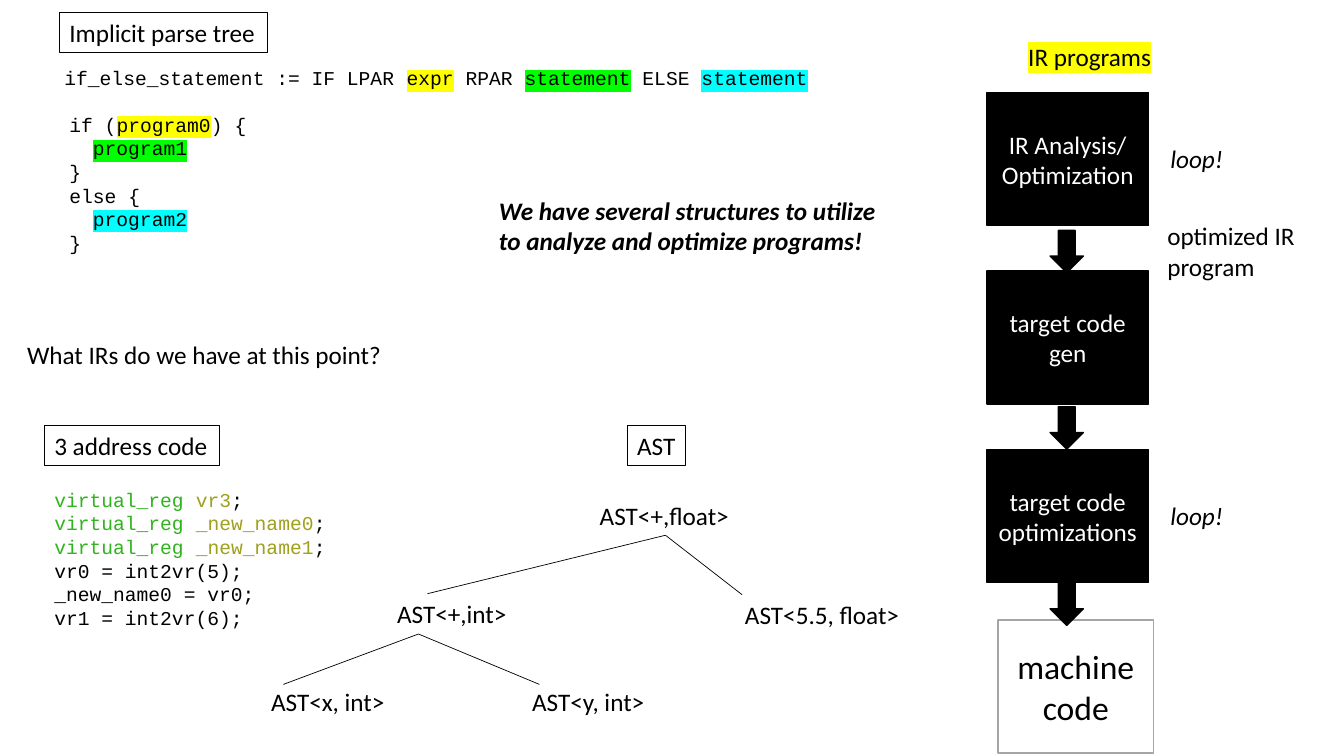
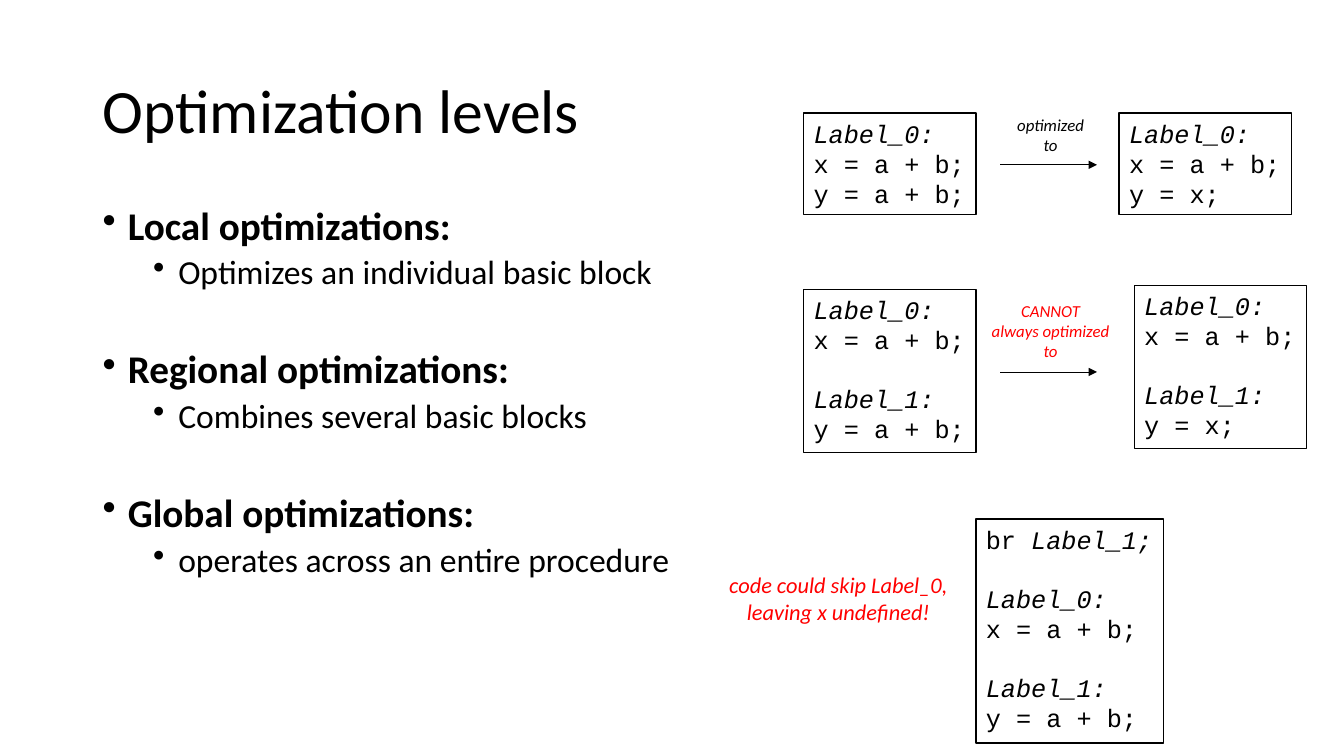
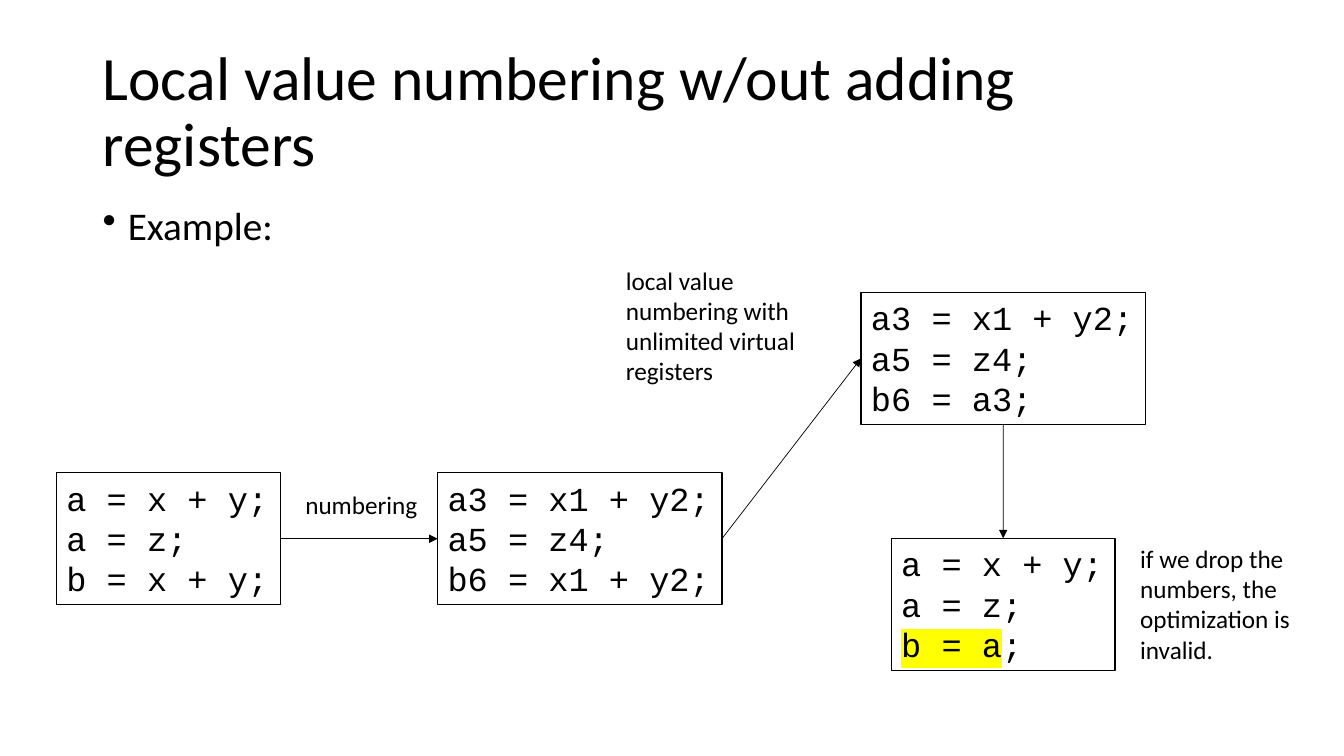
from dataclasses import dataclass

from lxml import etree
from pptx import Presentation
from pptx.dml.color import RGBColor
from pptx.enum.shapes import MSO_CONNECTOR, MSO_SHAPE
from pptx.enum.text import MSO_ANCHOR, MSO_AUTO_SIZE, PP_ALIGN
from pptx.oxml.ns import qn
from pptx.util import Inches, Pt

STRAIGHT = MSO_CONNECTOR.STRAIGHT
RECTANGLE, ARROW = MSO_SHAPE.RECTANGLE, MSO_SHAPE.RIGHT_ARROW
TOP, MIDDLE = MSO_ANCHOR.TOP, MSO_ANCHOR.MIDDLE
GROW = MSO_AUTO_SIZE.SHAPE_TO_FIT_TEXT
LEFT, CENTER = PP_ALIGN.LEFT, PP_ALIGN.CENTER
LEFT_SITE, TOP_SITE, BOTTOM_SITE, RIGHT_SITE = 1, 0, 2, 3

COLORS = {
    "black": "000000", "white": "FFFFFF", "gray": "A5A5A5", "red": "FF0000",
    "keyword": "2FB41D", "name": "9FA01C",
    "yellow": "FFFF00", "green": "00FF00", "cyan": "00FFFF",
}
SANS, MONO = "Calibri", "Courier New"
WIDTH, HEIGHT = 13.33, 7.5
LABEL_HEIGHT = 0.4
CODE_LINE = 20.4


@dataclass
class Box:
    """A rectangle on a grid of one-inch cells."""
    left: float
    top: float
    width: float
    height: float

    def inside(self, left, top, width, height=LABEL_HEIGHT):
        """Return a box offset from this one's corner."""
        return Box(self.left + left, self.top + top, width, height)

    def lengths(self):
        """Return the four lengths for python-pptx."""
        return [Inches(v) for v in (self.left, self.top, self.width, self.height)]


@dataclass
class Run:
    """A piece of text that differs from its paragraph."""
    text: str
    color: str = ""
    highlight: str = ""
    italic: bool = False


@dataclass
class Line:
    """A paragraph made of strings and runs."""
    pieces: list
    before: float = 0
    indent: float = 0


def rgb(name):
    """Return a named colour."""
    return RGBColor.from_string(COLORS[name])


def add_run(paragraph, piece):
    """Add a string or a Run to a paragraph."""
    piece = piece if isinstance(piece, Run) else Run(piece)
    run = paragraph.add_run()
    run.text = piece.text
    if piece.italic:
        run.font.italic = True
    if piece.color:
        run.font.color.rgb = rgb(piece.color)
    if piece.highlight:
        properties = run._r.get_or_add_rPr()
        highlight = etree.SubElement(properties, qn("a:highlight"))
        etree.SubElement(highlight, qn("a:srgbClr"), val=COLORS[piece.highlight])


def set_font(paragraph, size, name=SANS, color="black", bold=None, italic=None):
    """Set the font that all runs of a paragraph share."""
    font = paragraph.font
    font.size, font.name, font.bold, font.italic = Pt(size), name, bold, italic
    font.color.rgb = rgb(color)


def write(shape, lines, size=18, align=LEFT, anchor=TOP, wrap=False, grow=True, **font):
    """Fill a shape with paragraphs."""
    frame = shape.text_frame
    frame.word_wrap = wrap
    frame.vertical_anchor = anchor
    if grow:
        frame.auto_size = GROW
    for index, line in enumerate(lines):
        line = line if isinstance(line, Line) else Line([line])
        paragraph = frame.paragraphs[0] if index == 0 else frame.add_paragraph()
        paragraph.alignment = align
        if line.before:
            paragraph.space_before = Pt(line.before)
        if line.indent:
            paragraph._p.get_or_add_pPr().set("marL", str(Pt(line.indent)))
        set_font(paragraph, size, **font)
        for piece in line.pieces:
            add_run(paragraph, piece)
    return shape


def add_text(slide, box, *lines, **style):
    """Add a text box."""
    return write(slide.shapes.add_textbox(*box.lengths()), lines, **style)


def add_block(slide, box, fill, line="black", weight=1, kind=RECTANGLE):
    """Add an outlined shape; an empty fill name leaves it hollow."""
    shape = slide.shapes.add_shape(kind, *box.lengths())
    shape.shadow.inherit = False
    if fill:
        shape.fill.solid()
        shape.fill.fore_color.rgb = rgb(fill)
    else:
        shape.fill.background()
    shape.line.color.rgb = rgb(line)
    shape.line.width = Pt(weight)
    return shape


def add_heading(slide, box, text):
    """Add a hollow framed heading."""
    write(add_block(slide, box, "", weight=0.75), [text])


def add_code(slide, box, *lines, size=18):
    """Add a framed block of code."""
    return write(add_block(slide, box, "white"), lines, size=size, name=MONO)


def add_line(slide, start, end, arrow=False):
    """Add a thin line, with an arrowhead at its end if asked."""
    connector = slide.shapes.add_connector(STRAIGHT, *map(Inches, (*start, *end)))
    connector.line.color.rgb = rgb("black")
    connector.line.width = Pt(0.5)
    properties = connector.element.spPr
    if arrow:
        etree.SubElement(properties.find(qn("a:ln")), qn("a:tailEnd"), type="triangle")
    etree.SubElement(properties, qn("a:effectLst"))
    return connector


def join(slide, source, source_site, target, target_site):
    """Draw an arrow between two shapes."""
    connector = add_line(slide, (0, 0), (1, 1), arrow=True)
    connector.begin_connect(source, source_site)
    connector.end_connect(target, target_site)


def add_title(slide, text):
    """Add the slide title."""
    box = Box(0.92, 0.4, 11.5, 1.45)
    title = add_text(slide, box, text, size=44, anchor=MIDDLE, wrap=True, grow=False)
    title.text_frame.paragraphs[0].line_spacing = 0.9


def add_bullets(slide, box, items):
    """Add bullets given as (level, text, bold, space before)."""
    frame = slide.shapes.add_textbox(*box.lengths()).text_frame
    frame.word_wrap = True
    for index, (level, text, bold, before) in enumerate(items):
        paragraph = frame.paragraphs[0] if index == 0 else frame.add_paragraph()
        paragraph.level = level
        properties = paragraph._p.get_or_add_pPr()
        properties.set("marL", str(Inches(0.25 + 0.5 * level)))
        properties.set("indent", str(Inches(-0.25)))
        etree.SubElement(properties, qn("a:buChar"), char="•")
        paragraph.line_spacing = 0.9
        paragraph.space_before = Pt(before)
        set_font(paragraph, 28 - 4 * level, bold=bold)
        add_run(paragraph, text)


def add_pipeline(slide, box):
    """Draw the compiler back end from top to bottom."""
    machine = add_block(slide, box.inside(0.11, 5.79, 1.54, 1.32), "white", "gray")
    write(machine, ["machine code"], 24, CENTER, MIDDLE, wrap=True, grow=False)
    stages = ["IR Analysis/ Optimization", "target code gen", "target code optimizations"]
    for index, stage in enumerate(stages):
        block = add_block(slide, box.inside(0, 0.56 + 1.77 * index, 1.6, 1.32), "black")
        write(block, [stage], 18, CENTER, MIDDLE, True, False, color="white")
    for index in range(len(stages)):
        arrow_box = box.inside(0.58, 1.97 + 1.75 * index, 0.42, 0.33)
        add_block(slide, arrow_box, "black", kind=ARROW).rotation = 90
    for top in (1.01, 4.55):
        add_text(slide, box.inside(1.72, top, 0.74), "loop!", italic=True)
    add_text(slide, box.inside(0.31, 0, 1.43),
             Line([Run("IR programs", highlight="yellow")]))
    add_text(slide, box.inside(1.69, 1.78, 1.54, 0.71), "optimized IR", "program")


def add_parse_tree(slide, box):
    """Show the grammar rule and the program it matches."""
    add_heading(slide, box.inside(0.05, 0, 2.06), "Implicit parse tree")
    rule = Line(["if_else_statement := IF LPAR ", Run("expr", highlight="yellow"),
                 " RPAR ", Run("statement", highlight="green"),
                 " ELSE ", Run("statement", highlight="cyan")])
    add_text(slide, box.inside(0, 0.49, 7.89, 0.34), rule, size=14, name=MONO, wrap=True)
    add_text(slide, box.inside(0.05, 0.95, 1.96, 1.51),
             Line(["if (", Run("program0", highlight="yellow"), ") {"]),
             Line([Run("program1", highlight="green")], indent=16.8),
             "}", "else {",
             Line([Run("program2", highlight="cyan")], indent=16.8),
             "}", size=14, name=MONO)


def add_address_code(slide, box):
    """List the three address code."""
    add_heading(slide, box.inside(0, 0, 1.74), "3 address code")
    registers = [Line([Run("virtual_reg ", "keyword"), Run(name, "name"), ";"])
                 for name in ("vr3", "_new_name0", "_new_name1")]
    add_text(slide, box.inside(0, 0.57, box.width, 1.51), *registers,
             "vr0 = int2vr(5);", "_new_name0 = vr0;", "vr1 = int2vr(6);",
             size=14, name=MONO, wrap=True)


def add_syntax_tree(slide, box):
    """Draw the abstract syntax tree."""
    add_heading(slide, box.inside(3.63, 0, 0.58), "AST")
    nodes = [("AST<+,float>", 3.26, 0.69, 1.5), ("AST<+,int>", 1.25, 1.67, 1.3),
             ("AST<5.5, float>", 4.7, 1.68, 1.75), ("AST<x, int>", 0, 2.54, 1.34),
             ("AST<y, int>", 2.59, 2.54, 1.33)]
    for text, left, top, width in nodes:
        add_text(slide, box.inside(left, top, width), text)
    branches = [((4.01, 1.09), [(1.65, 1.67), (4.77, 1.68)]),
                ((1.56, 2.07), [(0.22, 2.57), (2.76, 2.57)])]
    for (x, y), children in branches:
        for child_x, child_y in children:
            add_line(slide, (box.left + x, box.top + y),
                     (box.left + child_x, box.top + child_y))


def add_rewrite(slide, before_box, after_box, before, after, caption, caption_size, color):
    """Show code, an arrow with its caption, and the resulting code."""
    add_code(slide, before_box, *before)
    add_code(slide, after_box, *after)
    middle = before_box.height / 2 + 0.01
    x, y = before_box.left + 1.95, before_box.top + middle
    add_line(slide, (x, y), (x + 0.96, y), arrow=True)
    width, height = caption_size
    caption_box = before_box.inside(2.45 - width / 2, middle - 0.05 - height, width, height)
    add_text(slide, caption_box, *caption, size=12, align=CENTER, color=color, italic=True)


def label(number, before=0):
    """Return an italic code label."""
    return Line([Run(f"Label_{number}:", italic=True)], before)


def build_structures(slide):
    """Build the slide on program structures."""
    add_pipeline(slide, Box(9.79, 0.36, 3.23, 7.11))
    add_text(slide, Box(0.17, 3.32, 3.76, LABEL_HEIGHT), "What IRs do we have at this point?")
    add_address_code(slide, Box(0.44, 4.22, 3.1, 2.08))
    add_syntax_tree(slide, Box(2.59, 4.22, 6.45, 2.94))
    add_parse_tree(slide, Box(0.54, 0.12, 7.89, 2.46))
    add_text(slide, Box(4.85, 1.89, 3.99, 0.71), "We have several structures to utilize",
             "to analyze and optimize programs!", bold=True, italic=True)


def build_levels(slide):
    """Build the slide on optimization levels."""
    add_title(slide, "Optimization levels")
    levels = [("Local optimizations:", "Optimizes an individual basic block"),
              ("Regional optimizations:", "Combines several basic blocks"),
              ("Global optimizations:", "operates across an entire procedure")]
    items = []
    for index, (level, detail) in enumerate(levels):
        items += [(0, level, True, 41.4 if index else 10), (1, detail, False, 5)]
    add_bullets(slide, Box(0.92, 2, 6.04, 4.76), items)
    first, again, reuse = "x = a + b;", "y = a + b;", "y = x;"
    second_label = label(1, CODE_LINE)
    add_rewrite(slide, Box(7.97, 1.12, 1.71, 1.01), Box(11.1, 1.12, 1.71, 1.01),
                [label(0), first, again], [label(0), first, reuse],
                ["optimized", "to"], (0.91, 0.5), "black")
    add_rewrite(slide, Box(7.97, 2.87, 1.71, 1.62), Box(11.25, 2.83, 1.71, 1.62),
                [label(0), first, second_label, again],
                [label(0), first, second_label, reuse],
                ["CANNOT", "always optimized", "to"], (1.42, 0.71), "red")
    add_code(slide, Box(9.68, 5.15, 1.86, 2.22), Line(["br", Run(" Label_1;", italic=True)]),
             label(0, CODE_LINE), first, second_label, again)
    add_text(slide, Box(7.12, 5.62, 2.39, 0.64), "code could skip Label_0,",
             "leaving x undefined!", size=16, align=CENTER, color="red", italic=True)


def build_numbering(slide):
    """Build the slide on local value numbering."""
    add_title(slide, "Local value numbering w/out adding registers")
    add_bullets(slide, Box(0.92, 2, 11.5, 0.91), [(0, "Example:", None, 10)])
    plain, numbered = ["a = x + y;", "a = z;"], ["a3 = x1 + y2;", "a5 = z4;"]
    source = add_code(slide, Box(0.56, 4.69, 2.22, 1.31), *plain, "b = x + y;", size=24)
    values = add_code(slide, Box(4.34, 4.69, 2.82, 1.31), *numbered, "b6 = x1 + y2;", size=24)
    reused = add_code(slide, Box(8.54, 2.9, 2.82, 1.31), *numbered, "b6 = a3;", size=24)
    dropped = add_code(slide, Box(8.84, 5.34, 2.22, 1.31), *plain,
                       Line([Run("b = a", highlight="yellow"), ";"]), size=24)
    join(slide, source, RIGHT_SITE, values, LEFT_SITE)
    join(slide, values, RIGHT_SITE, reused, LEFT_SITE)
    join(slide, reused, BOTTOM_SITE, dropped, TOP_SITE)
    add_text(slide, Box(2.93, 4.81, 1.33, LABEL_HEIGHT), "numbering")
    add_text(slide, Box(6.11, 2.58, 1.99, 1.31),
             "local value numbering with unlimited virtual registers", wrap=True)
    add_text(slide, Box(11.21, 5.34, 1.99, 1.31),
             "if we drop the numbers, the optimization is invalid.", wrap=True)


def main():
    """Build and save the presentation."""
    presentation = Presentation()
    presentation.slide_width, presentation.slide_height = Inches(WIDTH), Inches(HEIGHT)
    blank = presentation.slide_layouts[6]
    for build in (build_structures, build_levels, build_numbering):
        build(presentation.slides.add_slide(blank))
    presentation.save("out.pptx")


main()
